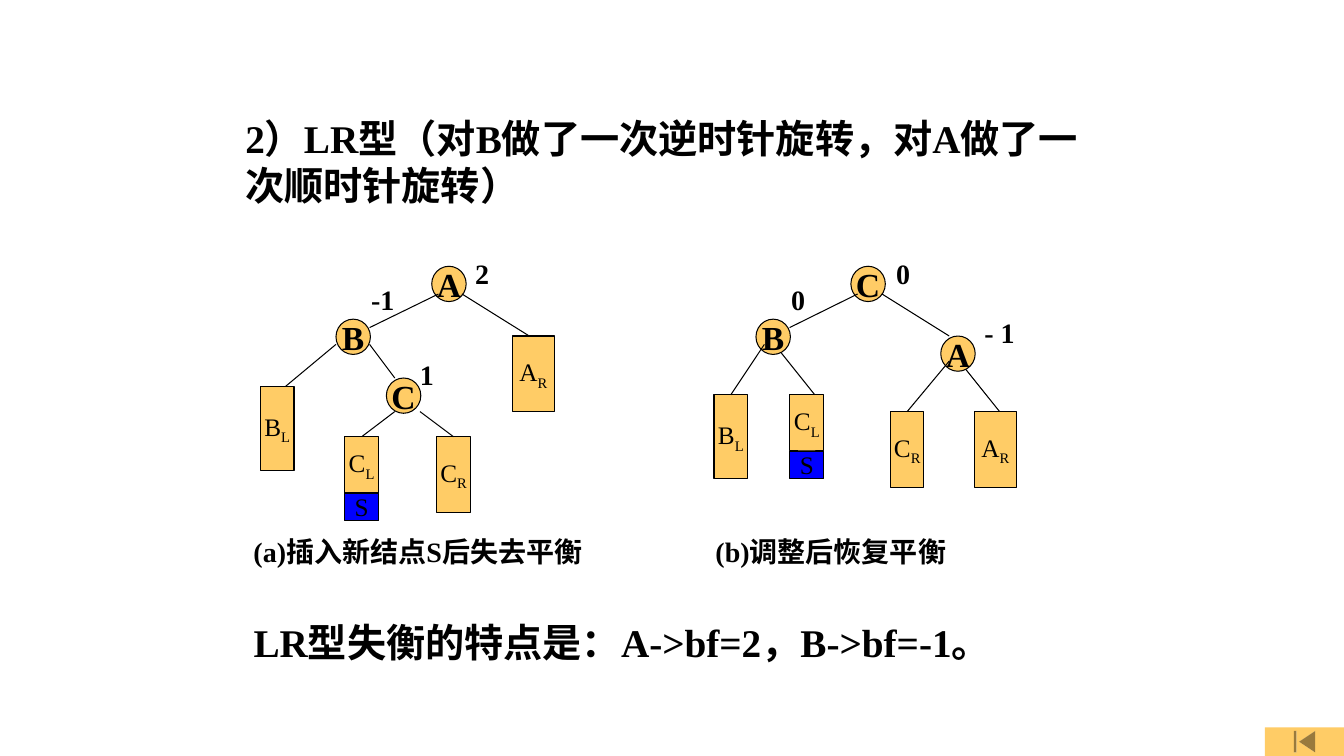
import pptx
import pptx.util
import pptx.dml.color
import pptx.enum.shapes
import pptx.enum.text
import pptx.oxml.ns
from lxml import etree

SHAPES = pptx.enum.shapes.MSO_SHAPE
ALIGN = pptx.enum.text.PP_ALIGN
ANCHOR = pptx.enum.text.MSO_ANCHOR
BLACK, AMBER, BLUE = "000000", "FFCC66", "0000FF"


def color(hex_string):
    return pptx.dml.color.RGBColor.from_string(hex_string)


def cells(*counts):
    """Turn grid counts into lengths; the slide is 160 columns by 90 rows of 1/12 inch."""
    return [pptx.util.Inches(count / 12) for count in counts]


class TreeSlide:
    latin_font = "Times New Roman"
    asian_font = "Noto Sans CJK SC"

    def __init__(self, deck):
        self.page = deck.slides.add_slide(deck.slide_layouts[5])

    def style_run(self, run, size, bold):
        run.font.name = self.latin_font
        run.font.size = pptx.util.Pt(size)
        run.font.bold = bold
        run.font.color.rgb = color(BLACK)
        asian = etree.SubElement(run._r.get_or_add_rPr(), pptx.oxml.ns.qn("a:ea"))
        asian.set("typeface", self.asian_font)

    def fill_text(self, frame, text, size):
        frame.word_wrap = True
        frame.text = text
        para = frame.paragraphs[0]
        para.alignment = ALIGN.LEFT
        for run in para.runs:
            self.style_run(run, size, True)

    def title(self, text, left, top, width, height):
        box = self.page.shapes.title
        box.left, box.top, box.width, box.height = cells(left, top, width, height)
        box.text_frame.auto_size = pptx.enum.text.MSO_AUTO_SIZE.NONE
        box.text_frame.vertical_anchor = ANCHOR.TOP
        self.fill_text(box.text_frame, text, 28)

    def label(self, text, left, top, width, height=5.2, size=20):
        box = self.page.shapes.add_textbox(*cells(left, top, width, height))
        self.fill_text(box.text_frame, text, size)
        box.text_frame.auto_size = pptx.enum.text.MSO_AUTO_SIZE.SHAPE_TO_FIT_TEXT

    def shape(self, kind, left, top, width, height, fill=AMBER, outlined=True):
        shape = self.page.shapes.add_shape(kind, *cells(left, top, width, height))
        shape.shadow.inherit = False
        shape.fill.solid()
        shape.fill.fore_color.rgb = color(fill)
        if outlined:
            shape.line.color.rgb = color(BLACK)
            shape.line.width = pptx.util.Pt(0.75)
        else:
            shape.line.fill.background()
        return shape

    def center_text(self, shape, text, size, bold, subscript=""):
        frame = shape.text_frame
        frame.word_wrap = False
        frame.vertical_anchor = ANCHOR.MIDDLE
        frame.margin_left = frame.margin_right = frame.margin_top = frame.margin_bottom = 0
        para = frame.paragraphs[0]
        para.text = text
        para.alignment = ALIGN.CENTER
        if subscript:
            lowered = para.add_run()
            lowered.text = subscript
            lowered._r.get_or_add_rPr().set("baseline", "-25000")
        for run in para.runs:
            self.style_run(run, size, bold)

    def node(self, name, left, top):
        circle = self.shape(SHAPES.OVAL, left, top, 4.1, 4.2)
        self.center_text(circle, name, 24, True)

    def subtree(self, name, left, top, width, height, fill=AMBER):
        """Draw a subtree box; a second letter in the name becomes a subscript."""
        box = self.shape(SHAPES.RECTANGLE, left, top, width, height, fill)
        self.center_text(box, name[0], 18, False, name[1:])
        return box

    def edge(self, start_x, start_y, end):
        """Draw a line to a point, or to the top middle of a subtree box."""
        joined = not isinstance(end, tuple)
        target = (start_x, start_y) if joined else end
        line = self.page.shapes.add_connector(
            pptx.enum.shapes.MSO_CONNECTOR.STRAIGHT, *cells(start_x, start_y, *target))
        if joined:
            line.end_connect(end, 0)
        line.line.color.rgb = color(BLACK)
        line.line.width = pptx.util.Pt(0.75)
        etree.SubElement(line._element.spPr, pptx.oxml.ns.qn("a:effectLst"))

    def tree(self, nodes, subtrees, edges, labels):
        """Draw one tree; an edge may end at a subtree's name instead of a point."""
        for node in nodes:
            self.node(*node)
        boxes = {subtree[0]: self.subtree(*subtree) for subtree in subtrees}
        for start_x, start_y, end in edges:
            self.edge(start_x, start_y, boxes[end] if isinstance(end, str) else end)
        for label in labels:
            self.label(*label)


def main():
    deck = pptx.Presentation()
    deck.slide_width, deck.slide_height = cells(160, 90)
    slide = TreeSlide(deck)
    slide.shape(SHAPES.ACTION_BUTTON_BEGINNING, 150.6, 86.6, 9.4, 3.4, outlined=False)
    slide.title("2）LR型（对B做了一次逆时针旋转，对A做了一次顺时针旋转）", 28, 13, 105, 12.4)
    slide.tree(
        nodes=[("A", 51.4, 31.7), ("B", 40, 38), ("C", 46, 45)],
        subtrees=[("BL", 31, 46, 4, 10), ("CL", 41, 52, 4.1, 6.7),
                  ("S", 41, 58.7, 4.1, 3.3, BLUE),
                  ("CR", 52, 52, 4, 9), ("AR", 61, 40, 5, 9)],
        edges=[(52.2, 35, (44, 39)), (55, 35, (63, 40)), (40, 41, (34, 46)),
               (44, 41, (47, 45)), (47, 49, "CL"), (50, 49, "CR")],
        labels=[("2", 55.4, 30, 4.1), ("-1", 43, 33, 7), ("1", 48.8, 42, 4.2),
                ("(a)插入新结点S后失去平衡", 29, 63, 42)])
    slide.tree(
        nodes=[("C", 101.3, 31.7), ("B", 90, 38), ("A", 112, 40)],
        subtrees=[("BL", 85, 47, 4, 10), ("CL", 94, 47, 4.1, 6.7),
                  ("S", 94, 53.7, 4.1, 3.3, BLUE),
                  ("CR", 106, 49, 4, 9), ("AR", 116, 49, 5, 9)],
        edges=[(102.1, 35, (94, 39)), (105, 35, (113, 40)), (91, 41, "BL"),
               (93, 42, (97, 47)), (115, 44, (119, 49)), (113, 43, "CR")],
        labels=[("0", 105.5, 30, 4.1), ("0", 93, 33, 5), ("- 1", 116, 37, 8),
                ("(b)调整后恢复平衡", 84, 63, 36)])
    slide.label("LR型失衡的特点是：A->bf=2，B->bf=-1。", 29, 73, 99, 6.8, 28)
    deck.save("out.pptx")


if __name__ == "__main__":
    main()
